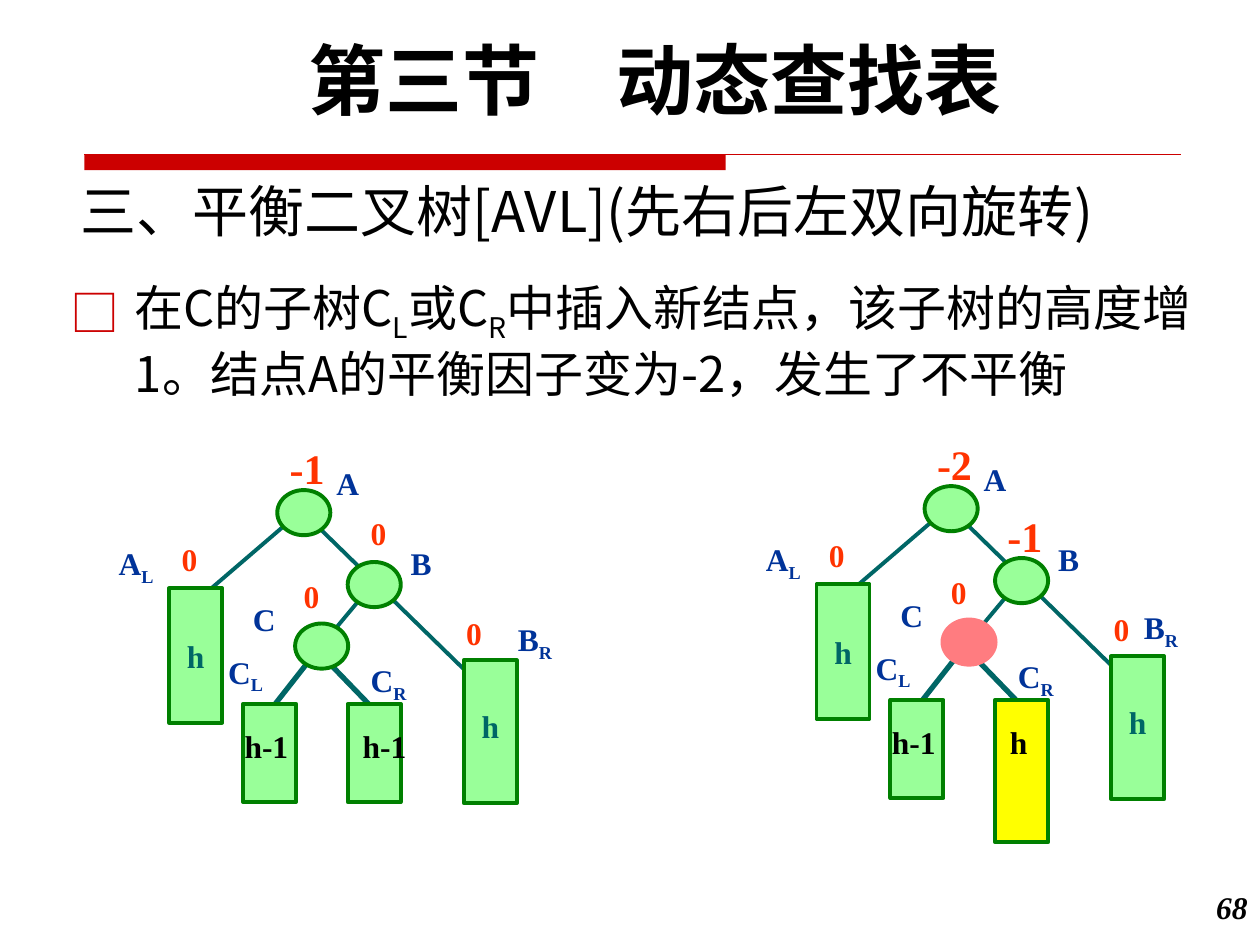
from lxml.etree import SubElement
from pptx import Presentation
from pptx.dml.color import RGBColor
from pptx.enum.shapes import MSO_CONNECTOR, MSO_SHAPE
from pptx.enum.text import MSO_ANCHOR, MSO_AUTO_SIZE, PP_ALIGN
from pptx.oxml.ns import qn
from pptx.util import Cm, Pt

COLORS = {
    "black": "000000", "red": "CC0000", "factor": "FF3300", "name": "003399",
    "edge": "006666", "outline": "008000", "green": "99FF99",
    "yellow": "FFFF00", "pink": "FF7C80",
}
SANS, SERIF = "Noto Sans CJK SC", "Times New Roman"
BOX_WIDTH = 1.07
NODE_HEIGHT = 0.91

# All tree positions are in cm from the top left corner of node A.
EDGES = [
    (0.15, 0.71, -1.75, 2.34, 2.25),
    (0.79, 0.71, 3.76, 3.61, 2.25),
    (1.7, 2.16, 0.79, 3.25, 2.25),
    (0.79, 3.25, -0.05, 4.32, 3),
    (0.99, 3.43, 1.85, 4.32, 3),
]
NODES = {"A": (0, 0), "B": (1.42, 1.45), "C": (0.36, 2.69)}
# Each name is a letter and its subscript, then left, top and width.
NAMES = [
    ("A", "", 0.94, -0.66, 0.97),
    ("B", "", 2.44, 0.97, 0.94),
    ("C", "", -0.74, 2.1, 0.97),
    ("A", "L", -3.45, 0.97, 1.27),
    ("C", "L", -1.24, 3.15, 1.27),
    ("C", "R", 1.63, 3.32, 1.3),
]


def rgb(color):
    return RGBColor.from_string(COLORS[color])


def format_run(run, size, color, font=SERIF, bold=True, italic=False):
    run.font.size = Pt(size)
    run.font.name = font
    run.font.bold = bold
    run.font.italic = italic
    run.font.color.rgb = rgb(color)
    SubElement(run._r.get_or_add_rPr(), qn("a:ea"), typeface=SANS)


def add_runs(paragraph, parts, *style):
    """Adds the parts in turn; every second one is a subscript."""
    for position, part in enumerate(parts):
        run = paragraph.add_run()
        run.text = part
        format_run(run, *style)
        if position % 2:
            run._r.get_or_add_rPr().set("baseline", "-25000")


def add_text(slide, left, top, width, height, parts, *style, wrap=True):
    frame = slide.shapes.add_textbox(
        Cm(left), Cm(top), Cm(width), Cm(height)).text_frame
    frame.word_wrap = wrap
    if not wrap:
        frame.auto_size = MSO_AUTO_SIZE.SHAPE_TO_FIT_TEXT
    add_runs(frame.paragraphs[0], parts, *style)
    return frame


def add_label(slide, left, top, width, parts, color, size=18):
    height = 1.27 if size > 18 else 1.02
    add_text(slide, left, top, width, height, parts, size, color, wrap=False)


def add_block(slide, preset, left, top, width, height, fill, outline="outline"):
    block = slide.shapes.add_shape(
        preset, Cm(left), Cm(top), Cm(width), Cm(height))
    block.shadow.inherit = False
    block.fill.solid()
    block.fill.fore_color.rgb = rgb(fill)
    block.line.color.rgb = rgb(outline)
    block.line.width = Pt(2.25)
    return block


def add_subtree(slide, left, top, height, fill="green", caption="", spacing=1.0):
    box = add_block(slide, MSO_SHAPE.RECTANGLE, left, top, BOX_WIDTH, height, fill)
    if caption:
        frame = box.text_frame
        frame.word_wrap = False
        frame.vertical_anchor = MSO_ANCHOR.MIDDLE
        paragraph = frame.paragraphs[0]
        paragraph.alignment = PP_ALIGN.CENTER
        paragraph.line_spacing = spacing
        add_runs(paragraph, [caption], 18, "edge")


def add_line(slide, x1, y1, x2, y2, color, width):
    line = slide.shapes.add_connector(
        MSO_CONNECTOR.STRAIGHT, Cm(x1), Cm(y1), Cm(x2), Cm(y2))
    line.line.color.rgb = rgb(color)
    line.line.width = Pt(width)
    SubElement(line._element.spPr, qn("a:effectLst"))


def add_tree(slide, x, y, factor_a, factor_b, right_height, right_caption,
             right_fill, c_fill, c_outline, br_name):
    """Draws the tree; CR, node C and the factors of A and B vary."""
    for x1, y1, x2, y2, width in EDGES:
        add_line(slide, x + x1, y + y1, x + x2, y + y2, "edge", width)

    for node, (left, top) in NODES.items():
        fill, outline = (c_fill, c_outline) if node == "C" else ("green", "outline")
        add_block(slide, MSO_SHAPE.OVAL, x + left, y + top,
                  BOX_WIDTH, NODE_HEIGHT, fill, outline)

    add_subtree(slide, x - 2.18, y + 1.98, 2.71, caption="h")
    add_subtree(slide, x + 3.76, y + 3.43, 2.88, caption="h", spacing=0.6)
    add_subtree(slide, x - 0.69, y + 4.31, 1.98)
    add_subtree(slide, x + 1.42, y + 4.31, right_height, right_fill)

    for letter, subscript, left, top, width in NAMES:
        parts = [letter, subscript] if subscript else [letter]
        add_label(slide, x + left, y + top, width, parts, "name")
    br_left, br_top = br_name
    add_label(slide, x + br_left, y + br_top, 1.24, ["B", "R"], "name")

    for left, top in [(-2.18, 0.89), (0.28, 1.62), (3.56, 2.38)]:
        add_label(slide, x + left, y + top, 0.84, ["0"], "factor")
    add_label(slide, x, y - 1.08, 1.22, [factor_a], "factor", 24)
    if factor_b == "0":
        add_label(slide, x + 1.63, y + 0.36, 0.84, [factor_b], "factor")
    else:
        add_label(slide, x + 1.42, y + 0.36, 1.22, [factor_b], "factor", 24)

    add_label(slide, x - 0.91, y + 4.65, 1.4, ["h-1"], "black")
    caption_width = 0.86 if right_caption == "h" else 1.4
    add_label(slide, x + 1.47, y + 4.65, caption_width, [right_caption], "black")


def add_heading(slide):
    chapter = add_text(slide, 1.47, 0.53, 23.5, 2.13, ["第三节　动态查找表"],
                       44, "black", "Cabin")
    chapter.paragraphs[0].alignment = PP_ALIGN.CENTER
    bar = add_block(slide, MSO_SHAPE.RECTANGLE, 1.7, 3.12, 12.93, 0.31, "red")
    bar.line.fill.background()
    add_line(slide, 1.7, 3.12, 23.8, 3.12, "red", 0.75)
    section = add_text(slide, 1.37, 3.12, 22.43, 1.91,
                       ["三、平衡二叉树[AVL](先右后左双向旋转)"],
                       32, "black", SANS, False)
    section.vertical_anchor = MSO_ANCHOR.BOTTOM


def add_explanation(slide):
    frame = add_text(slide, 1.17, 5.46, 24.33, 3.02, [], 28, "black")
    paragraph = frame.paragraphs[0]
    properties = paragraph._p.get_or_add_pPr()
    properties.set("marL", str(Cm(1.3)))
    properties.set("indent", str(-Cm(1.3)))
    bullet_color = SubElement(properties, qn("a:buClr"))
    SubElement(bullet_color, qn("a:srgbClr"), val=COLORS["red"])
    SubElement(properties, qn("a:buFont"), typeface=SANS)
    SubElement(properties, qn("a:buChar"), char="□")
    add_runs(paragraph,
             ["在C的子树C", "L", "或C", "R",
              "中插入新结点，该子树的高度增1。结点A的平衡因子变为-2，发生了不平衡"],
             28, "black", SANS, False)


def main():
    presentation = Presentation()
    presentation.slide_width = Cm(25.4)
    presentation.slide_height = Cm(19.05)
    slide = presentation.slides.add_slide(presentation.slide_layouts[6])

    add_heading(slide)
    add_explanation(slide)
    add_tree(slide, 5.59, 9.88, "-1", "0", 1.98, "h-1",
             "green", "green", "outline", (4.6, 2.49))
    add_tree(slide, 18.64, 9.8, "-2", "-1", 2.87, "h",
             "yellow", "pink", "pink", (4.17, 2.34))
    number = add_text(slide, 23.7, 17.78, 1.7, 1.27, ["68"],
                      18, "black", SERIF, True, True)
    number.paragraphs[0].alignment = PP_ALIGN.RIGHT
    presentation.save("out.pptx")


if __name__ == "__main__":
    main()
